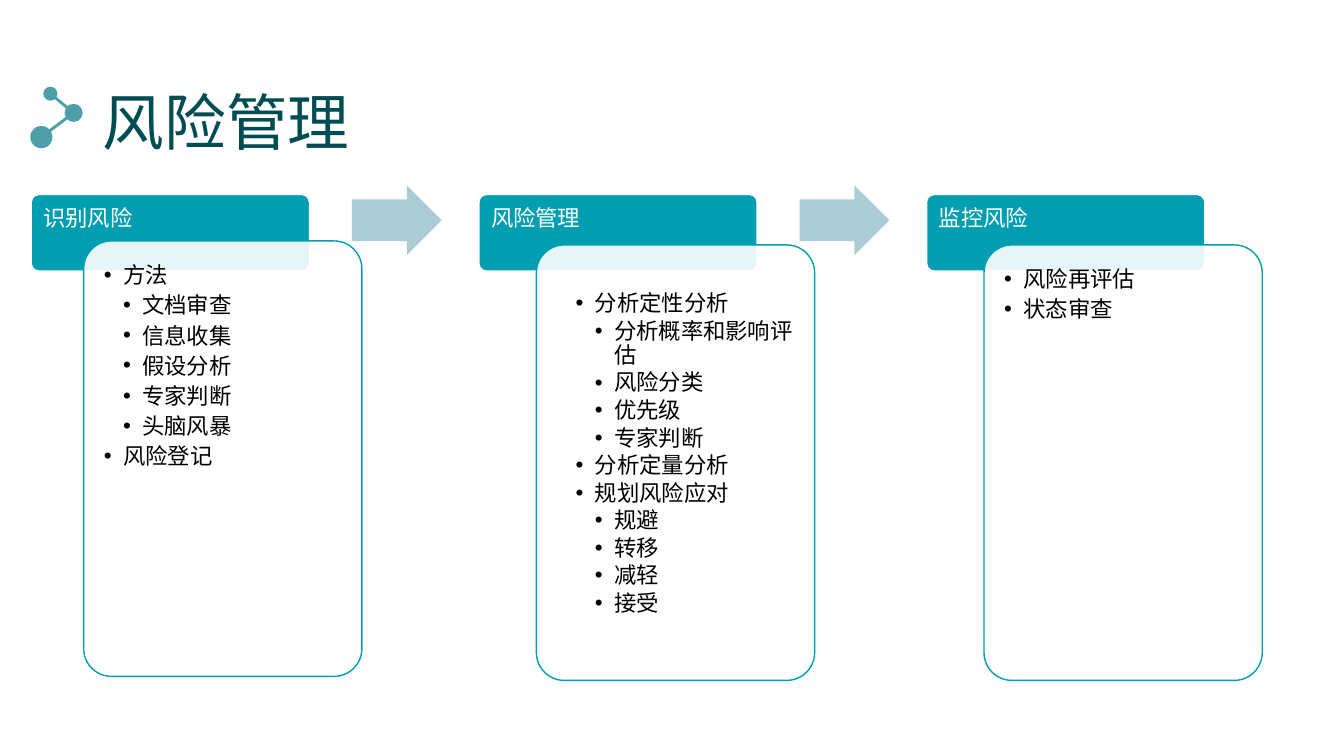
"""Build the risk management process slide."""
from pptx import Presentation
from pptx import util as u
from pptx.dml.color import RGBColor
from pptx.enum import shapes, text
from pptx.oxml.ns import qn
from lxml import etree

PX = 9144
KIND = shapes.MSO_SHAPE
HUES = {"title": "004C54", "teal": "009EB0", "icon": "4C9FA9",
        "arrow": "ABCCD4", "white": "FFFFFF", "black": "000000"}


def draw(kind, box, fill, line=None):
    shape = slide.shapes.add_shape(kind, *[n * PX for n in box])
    shape.shadow.inherit = False
    shape.fill.solid()
    shape.fill.fore_color.rgb = RGBColor.from_string(HUES[fill])
    if line:
        shape.line.color.rgb = RGBColor.from_string(HUES[line])
        shape.line.width = u.Pt(1)
    else:
        shape.line.fill.background()
    return shape


def style(para, size, hue, space):
    para.alignment = text.PP_ALIGN.LEFT
    para.line_spacing = space
    for run in para.runs:
        run.font.size = u.Pt(size)
        run.font.name = "Arial"
        run.font.color.rgb = RGBColor.from_string(HUES[hue])


deck = Presentation()
deck.slide_width, deck.slide_height = 1333 * PX, 750 * PX
slide = deck.slides.add_slide(deck.slide_layouts[5])

dots = [(50, 93, 7), (73, 112, 9), (41, 136, 11)]
for (x, y, _), (x2, y2, _) in zip(dots, dots[1:]):
    link = slide.shapes.add_connector(
        shapes.MSO_CONNECTOR.STRAIGHT, x * PX, y * PX, x2 * PX, y2 * PX)
    link.line.color.rgb = RGBColor.from_string(HUES["icon"])
    link.line.width = u.Pt(2)
    etree.SubElement(link._element.spPr, qn("a:effectLst"))
for x, y, r in dots:
    draw(KIND.OVAL, (x - r, y - r, 2 * r, 2 * r), "icon")

title = slide.shapes.title
title.left, title.top, title.width, title.height = [
    n * PX for n in (92, 40, 1150, 145)]
title.text_frame.text = "风险管理"
title.text_frame.vertical_anchor = text.MSO_ANCHOR.MIDDLE
style(title.text_frame.paragraphs[0], 44, "title", 1.2)

steps = [
    ("识别风险", 83, 239, 12, 12, 1.0,
     [(0, "方法"), (1, "文档审查"), (1, "信息收集"), (1, "假设分析"),
      (1, "专家判断"), (1, "头脑风暴"), (0, "风险登记")]),
    ("风险管理", 532, 243, 31, 39, 0.9,
     [(0, "分析定性分析"), (1, "分析概率和影响评估"), (1, "风险分类"),
      (1, "优先级"), (1, "专家判断"), (0, "分析定量分析"),
      (0, "规划风险应对"), (1, "规避"), (1, "转移"), (1, "减轻"),
      (1, "接受")]),
    ("监控风险", 976, 243, 12, 12, 1.0,
     [(0, "风险再评估"), (0, "状态审查")]),
]
for i, (name, left, top, inset, drop, space, items) in enumerate(steps):
    head = draw(KIND.ROUNDED_RECTANGLE, (31 + 444 * i, 193, 276, 76),
                "teal", "white")
    card = draw(KIND.ROUNDED_RECTANGLE, (left, top, 276, 432),
                "white", "teal")
    color = card._element.spPr.find(qn("a:solidFill"))[0]
    etree.SubElement(color, qn("a:alpha"), val="90000")
    for shape, side, high in (head, 10, 10), (card, inset, drop):
        shape.adjustments[0] = 0.1
        frame = shape.text_frame
        frame.word_wrap = True
        frame.vertical_anchor = text.MSO_ANCHOR.TOP
        frame.margin_left, frame.margin_top = side * PX, high * PX
        frame.margin_right = frame.margin_bottom = 12 * PX

    head.text_frame.text = name
    style(head.text_frame.paragraphs[0], 16, "white", 0.9)

    card.text_frame.text = "\n".join(item for _, item in items)
    for para, (level, _) in zip(card.text_frame.paragraphs, items):
        style(para, 16, "black", space)
        para.level = level
        para.space_after = u.Pt(2.4)
        props = para._p.get_or_add_pPr()
        props.set("marL", str(19 * PX * (level + 1)))
        props.set("indent", str(-19 * PX))
        etree.SubElement(props, qn("a:buFont"), typeface="Arial")
        etree.SubElement(props, qn("a:buChar"), char="•")

    if i < len(steps) - 1:
        arrow = draw(KIND.RIGHT_ARROW, (349 + 444 * i, 184, 89, 69), "arrow")
        arrow.adjustments[0] = 0.6

deck.save("out.pptx")
